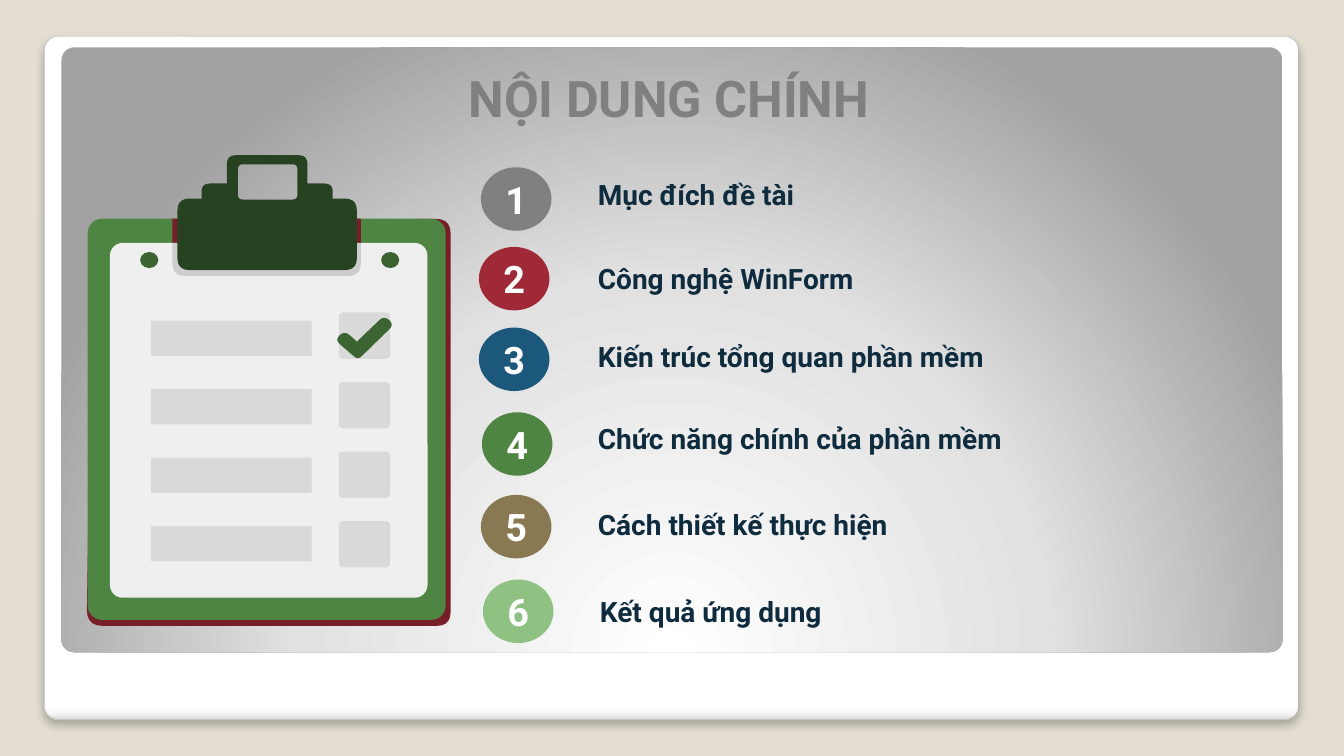
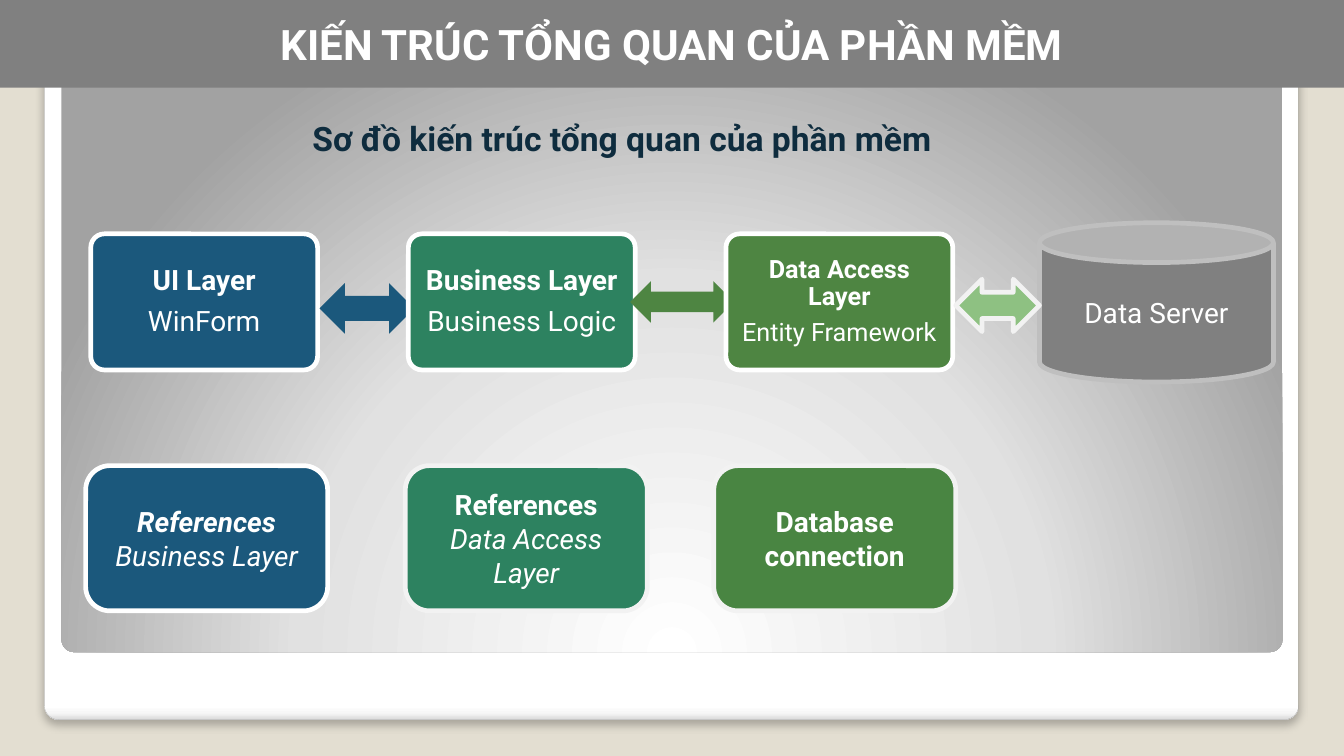
import pptx
import pptx.dml.color
import pptx.enum.shapes
import pptx.enum.text
import pptx.oxml
import pptx.oxml.ns
import pptx.util

Inches = pptx.util.Inches
Pt = pptx.util.Pt
PRESET = pptx.enum.shapes.MSO_SHAPE
ALIGN = pptx.enum.text.PP_ALIGN
ANCHOR = pptx.enum.text.MSO_ANCHOR

FONT = "Roboto"
BEIGE, WHITE, PALE = "E3DED1", "FFFFFF", "F2F2F2"
GRAY, SILVER, LIGHT_GRAY = "808080", "BFBFBF", "D9D9D9"
NAVY, BLUE, TEAL = "0E2C3E", "1B587C", "2D8260"
GREEN, DARK_GREEN, DEEP_GREEN, LIGHT_GREEN = "4E8542", "3B6432", "274221", "8EC182"
RED, MAROON, OLIVE = "9F2936", "771F28", "887952"
BORDER = 3.35


def rgb(value):
    return pptx.dml.color.RGBColor.from_string(value)


def xml(body):
    tag, rest = body.split(" ", 1)
    return pptx.oxml.parse_xml(f"<a:{tag} {pptx.oxml.ns.nsdecls('a')} {rest}")


def rounded(corners, steps=5):
    """Points along a polygon whose (x, y, radius) corners are rounded."""
    points = []
    for i, (x, y, radius) in enumerate(corners):
        if not radius:
            points.append((x, y))
            continue
        ends = []
        for nx, ny, _ in (corners[i - 1], corners[(i + 1) % len(corners)]):
            length = ((nx - x) ** 2 + (ny - y) ** 2) ** 0.5
            share = min(radius / length, 0.5)
            ends.append((x + (nx - x) * share, y + (ny - y) * share))
        (ax, ay), (bx, by) = ends
        for step in range(steps + 1):
            t = step / steps
            u = 1 - t
            points.append((u * u * ax + 2 * u * t * x + t * t * bx,
                           u * u * ay + 2 * u * t * y + t * t * by))
    return [(Inches(x), Inches(y)) for x, y in points]


class Deck:
    def __init__(self):
        self.prs = pptx.Presentation()
        self.prs.slide_width, self.prs.slide_height = Inches(13.33), Inches(7.5)
        backdrop = self.prs.slide_master.background.fill
        backdrop.solid()
        backdrop.fore_color.rgb = rgb(BEIGE)
        self.slide = None

    def new_slide(self):
        self.slide = self.prs.slides.add_slide(self.prs.slide_layouts[6])
        # White card with a soft shadow, then the shaded panel
        card = self.shape(PRESET.ROUNDED_RECTANGLE, 0.44, 0.36, 12.44, 6.78, WHITE,
                          "A4A4A4", 0.16, radius=0.021)
        self.gradient(card, [(0, WHITE), (98, WHITE), (99, "F7F7F7"), (100, "DADADA")],
                      '<a:lin ang="5400000" scaled="0"/>')
        card._element.spPr.find(pptx.oxml.ns.qn("a:effectLst")).append(xml(
            'outerShdw blurRad="76200" dist="50800" dir="5400000" algn="tl" rotWithShape="0">'
            '<a:srgbClr val="000000"><a:alpha val="25000"/></a:srgbClr></a:outerShdw>'))
        panel = self.shape(PRESET.ROUNDED_RECTANGLE, 0.61, 0.47, 12.11, 6, WHITE, radius=0.021)
        self.gradient(panel, [(0, WHITE), (55, "E1E1E1"), (100, "A2A2A2")],
                      '<a:path path="circle"><a:fillToRect l="50000" t="175000" '
                      'r="50000" b="-75000"/></a:path>')

    def gradient(self, shape, stops, direction):
        marks = "".join(f'<a:gs pos="{pos * 1000}"><a:srgbClr val="{color}"/></a:gs>'
                        for pos, color in stops)
        props = shape._element.spPr
        props.replace(props.find(pptx.oxml.ns.qn("a:solidFill")), xml(
            f'gradFill rotWithShape="1"><a:gsLst>{marks}</a:gsLst>{direction}</a:gradFill>'))

    def paint(self, shape, fill, line=None, width=BORDER):
        shape.shadow.inherit = False
        shape.fill.solid()
        shape.fill.fore_color.rgb = rgb(fill)
        if line:
            shape.line.color.rgb = rgb(line)
            shape.line.width = Pt(width)
        else:
            shape.line.fill.background()
        return shape

    def shape(self, preset, x, y, w, h, fill, line=None, width=BORDER, radius=None):
        shape = self.slide.shapes.add_shape(preset, Inches(x), Inches(y), Inches(w), Inches(h))
        if radius is not None:
            shape.adjustments[0] = radius
        return self.paint(shape, fill, line, width)

    def outline(self, fill, *contours):
        """Filled outline; every contour after the first cuts a hole."""
        first, *holes = [rounded(corners) for corners in contours]
        builder = self.slide.shapes.build_freeform(*first[0], scale=1.0)
        builder.add_line_segments(first[1:], close=True)
        for hole in holes:
            builder.move_to(*hole[0])
            builder.add_line_segments(hole[1:], close=True)
        self.paint(builder.convert_to_shape(), fill)

    def label(self, shape, lines, size, color=WHITE, align=ALIGN.CENTER, anchor=ANCHOR.MIDDLE,
              inset=None, spacing=None, after=None):
        """Each line is (text, style); style holds b for bold and i for italic."""
        frame = shape.text_frame
        frame.word_wrap = True
        frame.vertical_anchor = anchor
        if inset is not None:
            frame.margin_left = frame.margin_right = Inches(inset)
            frame.margin_top = frame.margin_bottom = Inches(inset)
        frame.text = "\n".join(text for text, _ in lines)
        for paragraph, (_, style) in zip(frame.paragraphs, lines):
            paragraph.alignment = align
            if spacing:
                paragraph.line_spacing = spacing
            if after:
                paragraph.space_after = Pt(after)
            for run in paragraph.runs:
                run.font.name, run.font.size = FONT, Pt(size)
                run.font.color.rgb = rgb(color)
                run.font.bold, run.font.italic = "b" in style, "i" in style

    def text(self, x, y, w, h, words, size, color, **layout):
        box = self.slide.shapes.add_textbox(Inches(x), Inches(y), Inches(w), Inches(h))
        self.label(box, [(words, "b")], size, color, **layout)
        box.text_frame.auto_size = pptx.enum.text.MSO_AUTO_SIZE.SHAPE_TO_FIT_TEXT


deck = Deck()

# Slide 1: contents
deck.new_slide()
deck.text(1.71, 0.66, 9.85, 0.61, "NỘI DUNG CHÍNH", 36, GRAY, inset=0)

# Clipboard: board, paper, clip
deck.outline(MAROON, [(4.47, 2.17, 0.15), (4.47, 6.21, 0.14), (0.86, 6.21, 0.16), (0.92, 2.2, 0.13)])
deck.shape(PRESET.ROUNDED_RECTANGLE, 0.87, 2.17, 3.55, 3.98, GREEN, radius=0.04)
deck.shape(PRESET.ROUNDED_RECTANGLE, 1.09, 2.41, 3.15, 3.52, "EFEFEF", radius=0.04)
deck.shape(PRESET.RECTANGLE, 1.71, 2.17, 1.87, 0.24, MAROON)
deck.outline("CECDCD", [(1.71, 2.41, 0), (3.58, 2.41, 0), (3.58, 2.74, 0.13), (1.71, 2.74, 0.13)])
clip_half = [(2.25, 1.54, 0.09), (2.25, 1.82, 0), (2, 1.82, 0.09), (2, 1.97, 0),
             (1.76, 1.97, 0.12), (1.76, 2.68, 0.12)]
clip_mirror = [(5.3 - x, y, radius) for x, y, radius in reversed(clip_half)]
clip_hole = [(2.36, 1.63, 0.05), (2.95, 1.63, 0.05), (2.95, 1.98, 0.05), (2.36, 1.98, 0.05)]
deck.outline(DEEP_GREEN, clip_half + clip_mirror, clip_hole)
for rivet_x in (1.39, 3.78):
    deck.shape(PRESET.OVAL, rivet_x, 2.5, 0.18, 0.16, DARK_GREEN)

# Checklist rows and the tick
for row in range(4):
    deck.shape(PRESET.ROUNDED_RECTANGLE, 3.36, 3.1 + 0.69 * row, 0.51, 0.46, LIGHT_GRAY, radius=0.09)
    deck.shape(PRESET.RECTANGLE, 1.5, 3.18 + 0.68 * row, 1.59, 0.35, LIGHT_GRAY)
deck.outline(DARK_GREEN, [(3.32, 3.37, 0.07), (3.42, 3.28, 0.07), (3.54, 3.39, 0),
                          (3.81, 3.13, 0.07), (3.91, 3.22, 0.07), (3.55, 3.57, 0.05)])

# Numbered topics: colour, badge left and top, topic left and top, topic
topics = [
    (GRAY, 4.77, 1.66, 5.93, 1.73, "Mục đích đề tài"),
    (RED, 4.75, 2.45, 5.93, 2.57, "Công nghệ WinForm"),
    (BLUE, 4.75, 3.25, 5.93, 3.34, "Kiến trúc tổng quan phần mềm"),
    (GREEN, 4.78, 4.09, 5.93, 4.15, "Chức năng chính của phần mềm"),
    (OLIVE, 4.77, 4.91, 5.93, 5.01, "Cách thiết kế thực hiện"),
    (LIGHT_GREEN, 4.79, 5.75, 5.95, 5.87, "Kết quả ứng dụng"),
]
for number, (color, badge_x, badge_y, topic_x, topic_y, topic) in enumerate(topics, 1):
    badge = deck.shape(PRESET.OVAL, badge_x, badge_y, 0.7, 0.63, color)
    deck.label(badge, [(str(number), "b")], 27, inset=0)
    deck.text(topic_x, topic_y, 7.03, 0.33, topic, 20, NAVY, align=ALIGN.JUSTIFY,
              anchor=ANCHOR.TOP, inset=0, spacing=Pt(26))

# Slide 2: architecture
deck.new_slide()
band = deck.shape(PRESET.RECTANGLE, 0, 0, 13.33, 0.87, GRAY)
deck.label(band, [("KIẾN TRÚC TỔNG QUAN CỦA PHẦN MỀM", "b")], 30)
deck.text(3, 1.12, 7.44, 0.5, "Sơ đồ kiến trúc tổng quan của phần mềm", 24, NAVY,
          align=ALIGN.LEFT)

# Layers, each followed by the arrow to the next one
layers = [
    ("UI Layer", "WinForm", BLUE, 20, 0.08, (3.17, 2.81, 0.94, 0.5, BLUE)),
    ("Business Layer", "Business Logic", TEAL, 20, 0.08, (6.25, 2.79, 1.03, 0.41, GREEN)),
    ("Data Access Layer", "Entity Framework", GREEN, 18, 0.07,
     (9.48, 2.77, 0.83, 0.52, LIGHT_GREEN, PALE)),
]
for column, (layer, technology, color, size, inset, arrow) in enumerate(layers):
    box = deck.shape(PRESET.ROUNDED_RECTANGLE, 0.9 + 3.15 * column, 2.32, 2.25, 1.35, color,
                     WHITE, radius=0.1)
    deck.label(box, [(layer, "b"), (technology, "")], size, inset=inset, spacing=0.9,
               after=0.35 * size)
    if column == 2:
        database = deck.shape(PRESET.CAN, 10.31, 2.21, 2.32, 1.58, GRAY, SILVER)
        deck.label(database, [("Data Server", "")], 20)
    deck.shape(PRESET.LEFT_RIGHT_ARROW, *arrow)

# What each layer refers to
references = [
    (0.85, BLUE, WHITE, [("References", "bi"), ("Business Layer", "i")]),
    (4.02, TEAL, PALE, [("References", "b"), ("Data Access Layer", "i")]),
    (7.08, "498542", PALE, [("Database", "b"), ("connection", "b")]),
]
for x, color, border, lines in references:
    reference = deck.shape(PRESET.ROUNDED_RECTANGLE, x, 4.62, 2.4, 1.44, color, border)
    deck.label(reference, lines, 20)

deck.prs.save("out.pptx")
